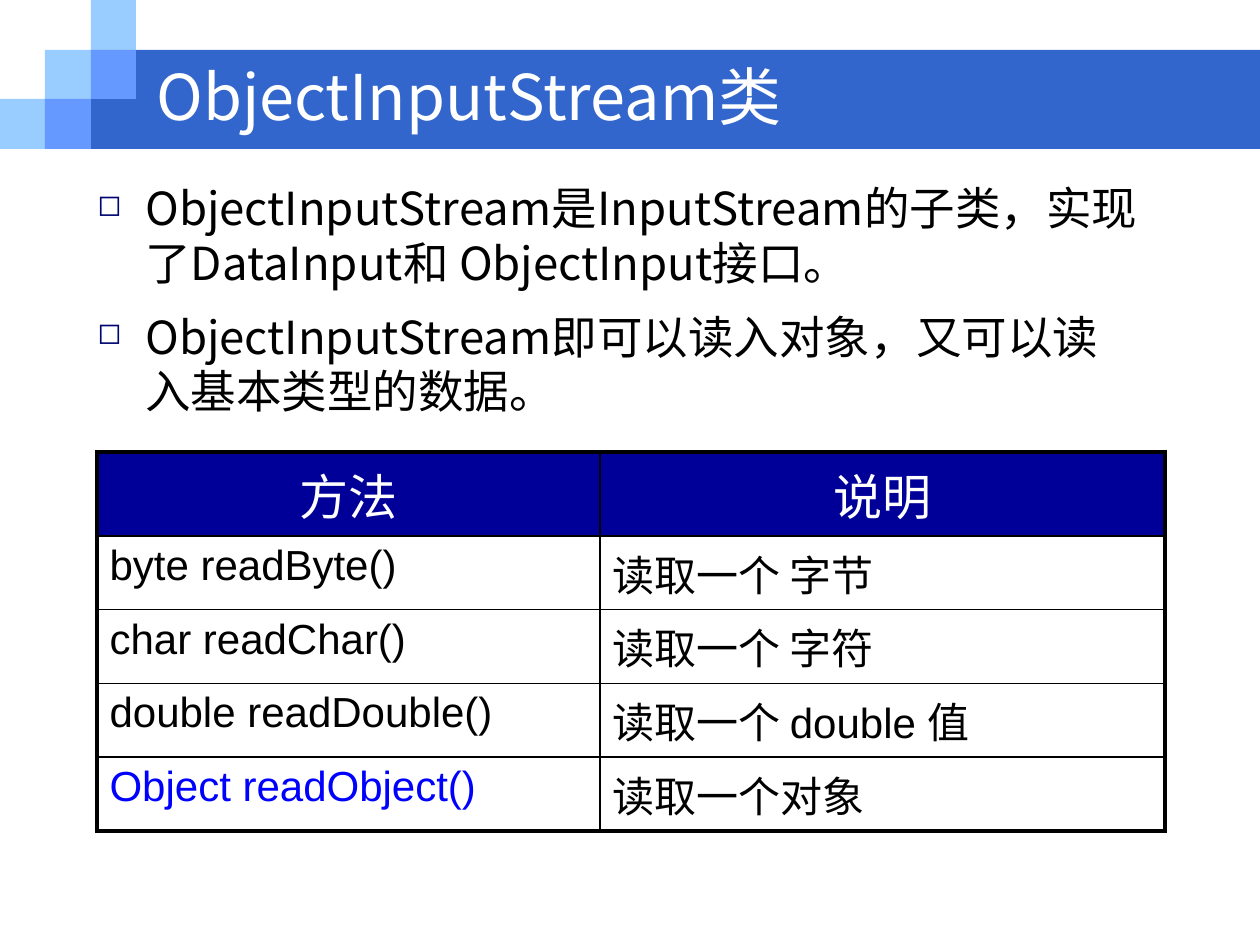
from lxml import etree
from pptx import Presentation
from pptx import util as u
from pptx.dml.color import RGBColor
from pptx.enum import shapes, text
from pptx.oxml.ns import qn

PX = 914400 / 126
CJK = "Noto Sans CJK SC"
BULLETS = [
    "ObjectInputStream是InputStream的子类，实现了DataInput和 ObjectInput接口。",
    "ObjectInputStream即可以读入对象，又可以读入基本类型的数据。",
]
METHODS = [
    ("方法", "说明"),
    ("byte readByte()", "读取一个 字节"),
    ("char readChar()", "读取一个 字符"),
    ("double readDouble()", "读取一个 double 值"),
    ("Object readObject()", "读取一个对象"),
]


def px(length):
    """Turn pixels into EMU."""
    return u.Emu(round(length * PX))


def color(value):
    """Turn a hex string into a colour."""
    return RGBColor.from_string(value)


def add_run(paragraph, wording, size, fill, latin=CJK):
    """Add one run with its Latin and East Asian fonts."""
    run = paragraph.add_run()
    run.text = wording
    run.font.size = u.Pt(size)
    run.font.name = latin
    run.font.color.rgb = color(fill)
    east_asian = etree.Element(qn("a:ea"), typeface=CJK)
    run.font._element.find(qn("a:latin")).addnext(east_asian)


def add_block(slide, box, fill):
    """Add a plain filled rectangle."""
    shape = slide.shapes.add_shape(shapes.MSO_SHAPE.RECTANGLE, *map(px, box))
    shape.shadow.inherit = False
    shape.fill.solid()
    shape.fill.fore_color.rgb = color(fill)
    shape.line.fill.background()


def add_text_frame(slide, box):
    """Add a wrapping text box and return its frame."""
    frame = slide.shapes.add_textbox(*map(px, box)).text_frame
    frame.word_wrap = True
    return frame


def add_header(slide, box, title):
    """Add the banner, the staircase of tiles and the title."""
    left, top, width, height = box
    columns, rows = (0, 45, 91, 136), (0, 50, 99, 149)
    add_block(slide, (left + columns[2], top + rows[1], width - columns[2], height - rows[1]), "3366CC")
    for step, fill in ((2, "99CCFF"), (3, "6699FF")):
        for column in range(step - 2, 3):
            row = step - column
            tile = (left + columns[column], top + rows[row],
                    columns[column + 1] - columns[column], rows[row + 1] - rows[row])
            add_block(slide, tile, fill)
    frame = add_text_frame(slide, (left + 144, top + 36, width - 144, 118))
    frame.vertical_anchor = text.MSO_ANCHOR.MIDDLE
    add_run(frame.paragraphs[0], title, 36, "FFFFFF")


def add_bullets(slide, box, items):
    """Add the square-bulleted paragraphs."""
    frame = add_text_frame(slide, box)
    for index, item in enumerate(items):
        paragraph = frame.add_paragraph() if index else frame.paragraphs[0]
        properties = paragraph._p.get_or_add_pPr()
        properties.set("marL", str(px(48)))
        properties.set("indent", str(-px(48)))
        bullet_color = etree.SubElement(properties, qn("a:buClr"))
        etree.SubElement(bullet_color, qn("a:srgbClr"), val="000572")
        etree.SubElement(properties, qn("a:buSzPct"), val="65000")
        etree.SubElement(properties, qn("a:buChar"), char="◻")
        paragraph.line_spacing = 1.0
        paragraph.space_before = u.Pt(5 if index else 0)
        paragraph.space_after = u.Pt(6)
        add_run(paragraph, item, 26, "000000")


def add_borders(cell, widths):
    """Draw the black cell borders, given as widths in points by side."""
    properties = cell._tc.get_or_add_tcPr()
    for side, width in widths.items():
        line = etree.SubElement(properties, qn(f"a:ln{side}"), w=str(u.Pt(width)))
        fill = etree.SubElement(line, qn("a:solidFill"))
        etree.SubElement(fill, qn("a:srgbClr"), val="000000")


def add_method_table(slide, box, rows):
    """Add the table of methods with a heavy outer frame."""
    table = slide.shapes.add_table(len(rows), 2, *map(px, box)).table
    table.first_row = table.horz_banding = False
    header_height = 84
    table.columns[0].width = px(503)
    table.columns[1].width = px(box[2] - 503)
    last = len(rows) - 1
    for i, row in enumerate(rows):
        table.rows[i].height = px(header_height if i == 0 else (box[3] - header_height) / last)
        for j, wording in enumerate(row):
            cell = table.cell(i, j)
            outer = {"L": j == 0, "R": j == 1, "T": i == 0, "B": i == last}
            add_borders(cell, {side: 2.25 if edge else 1 for side, edge in outer.items()})
            paragraph = cell.text_frame.paragraphs[0]
            if i == 0:
                cell.fill.solid()
                cell.fill.fore_color.rgb = color("000099")
                paragraph.alignment = text.PP_ALIGN.CENTER
                add_run(paragraph, wording, 28, "FFFFFF")
            else:
                cell.fill.background()
                fill = "0000FF" if (i, j) == (last, 0) else "000000"
                add_run(paragraph, wording, 24, fill, "Arial")


def main():
    """Build and save the slide."""
    presentation = Presentation()
    presentation.slide_width, presentation.slide_height = px(1260), px(945)
    slide = presentation.slides.add_slide(presentation.slide_layouts[6])
    add_header(slide, (0, 0, 1260, 149), "ObjectInputStream类")
    add_bullets(slide, (85, 174, 1070, 255), BULLETS)
    add_method_table(slide, (97, 452, 1068, 379), METHODS)
    presentation.save("out.pptx")


if __name__ == "__main__":
    main()
